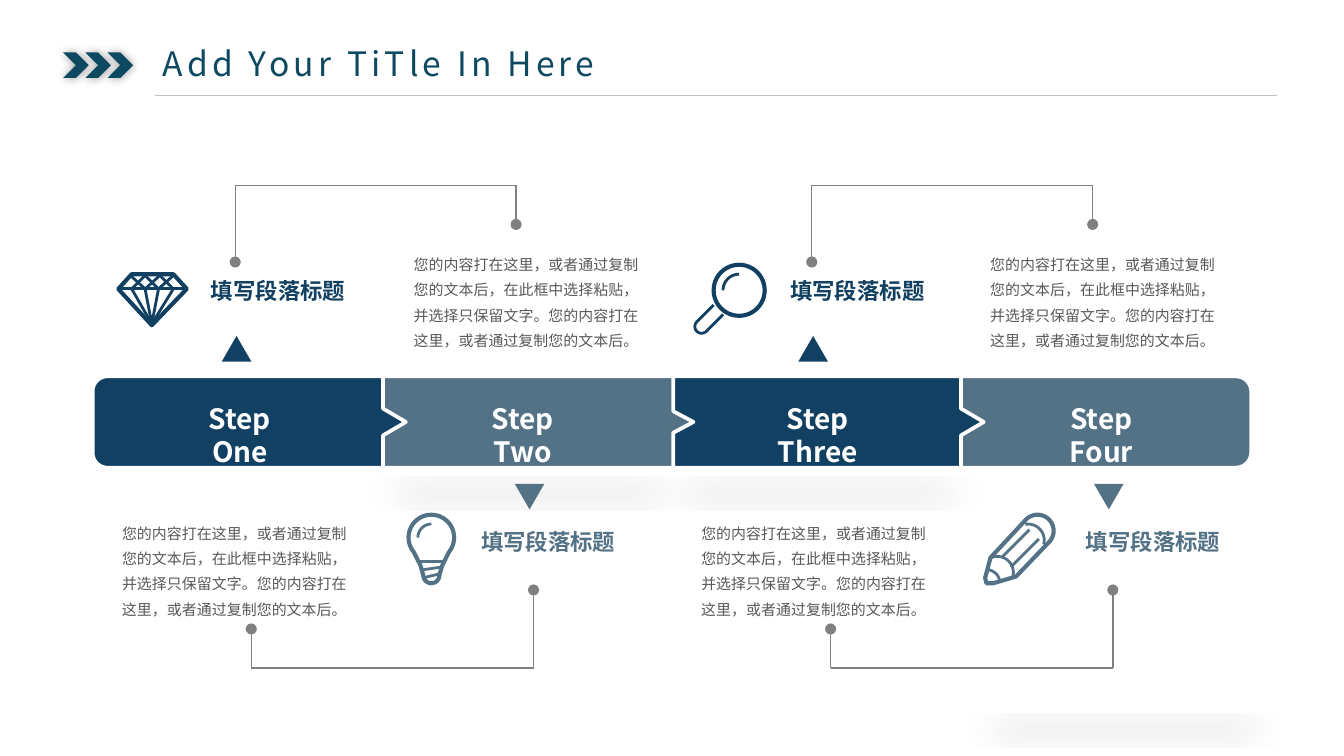
from math import cos, radians, sin

from lxml.etree import SubElement
from pptx import Presentation
from pptx.dml.color import RGBColor
from pptx.enum.shapes import MSO_CONNECTOR, MSO_SHAPE
from pptx.enum.text import MSO_ANCHOR, PP_ALIGN
from pptx.oxml.ns import qn
from pptx.util import Inches, Pt

NAVY = RGBColor(0x12, 0x40, 0x62)
SLATE = RGBColor(0x53, 0x72, 0x85)
TEAL = RGBColor(0x0D, 0x49, 0x60)
GREY = RGBColor(0x80, 0x80, 0x80)
RULE = RGBColor(0xBF, 0xBF, 0xBF)
INK = RGBColor(0x59, 0x59, 0x59)
WHITE = RGBColor(0xFF, 0xFF, 0xFF)
SANS = "Noto Sans CJK SC"
HEAD = "填写段落标题"
BODY = "您的内容打在这里，或者通过复制您的文本后，在此框中选择粘贴，并选择只保留文字。您的内容打在这里，或者通过复制您的文本后。"

BLUR = dict(blurRad="63500", dist="0", algn="ctr")
BELOW = dict(blurRad="254000", dist="114300", dir="5400000",
             sx="90000", sy="-19000", rotWithShape="0")


def write(shape, text, font, face=SANS, inset=(0.07, 0.04), wrap=True, **para):
    frame = shape.text_frame
    frame.word_wrap = wrap
    frame.vertical_anchor = MSO_ANCHOR.TOP
    for side, gap in zip(("left", "top", "right", "bottom"), inset * 2):
        setattr(frame, f"margin_{side}", Inches(gap))
    line = frame.paragraphs[0]
    for key, val in para.items():
        setattr(line, key, val)
    run = line.add_run()
    run.text = text
    color = font["color"]
    for key, val in font.items():
        if key != "color":
            setattr(run.font, key, val)
    run.font.name = face
    run.font.color.rgb = color
    SubElement(run.font._element, qn("a:ea"), typeface=face)
    return run


def label(slide, x, y, w, h, text, font, **form):
    box = slide.shapes.add_textbox(*map(Inches, (x, y, w, h)))
    write(box, text, font, **form)


def shade(shape, alpha, form):
    shape.shadow.inherit = False
    effects = shape._element.spPr.find(qn("a:effectLst"))
    outer = SubElement(effects, qn("a:outerShdw"), **form)
    black = SubElement(outer, qn("a:srgbClr"), val="000000")
    SubElement(black, qn("a:alpha"), val=str(alpha * 1000))


def paint(shape, fill=None, line=None, width=2):
    shape.shadow.inherit = False
    for part, color in ((shape.fill, fill), (shape.line.fill, line)):
        if color is None:
            part.background()
        else:
            part.solid()
            part.fore_color.rgb = color
    if line is not None:
        shape.line.width = Pt(width)
    return shape


def solid(slide, kind, x, y, w, h, fill, turn=0, line=None):
    shape = slide.shapes.add_shape(kind, *map(Inches, (x, y, w, h)))
    shape.rotation = turn
    return paint(shape, fill, line)


def trace(slide, x, y, points, close=False):
    dots = [(Inches(x + a), Inches(y + b)) for a, b in points]
    path = slide.shapes.build_freeform(*dots[0])
    path.add_line_segments(dots[1:], close=close)
    return path.convert_to_shape()


def arc(x, y, r, start, end, steps=24):
    turns = [radians(start + (end - start) * i / steps) for i in range(steps + 1)]
    return [(x + r * cos(t), y + r * sin(t)) for t in turns]


def rule(slide, start, end, color, width, tips=()):
    line = slide.shapes.add_connector(
        MSO_CONNECTOR.STRAIGHT, *map(Inches, (*start, *end)))
    line.line.color.rgb = color
    line.line.width = Pt(width)
    SubElement(line._element.spPr, qn("a:effectLst"))
    for tip in tips:
        SubElement(line.line._ln, qn(f"a:{tip}End"), type="oval")


def link(slide, x, y, points):
    spots = [(x + a, y + b) for a, b in points]
    tips = (("head",), (), ("tail",))
    for start, end, tip in zip(spots, spots[1:], tips):
        rule(slide, start, end, GREY, 0.75, tip)


# Each icon is a closed outline followed by thinner inner lines.
GEM = (
    [(0.12, 0.02), (0.43, 0.02), (0.53, 0.13), (0.27, 0.4), (0.02, 0.13)],
    [(0.02, 0.13), (0.53, 0.13)],
    [(0.11, 0.03), (0.22, 0.13), (0.33, 0.03), (0.43, 0.13)],
    [(0.12, 0.13), (0.22, 0.03), (0.32, 0.13), (0.43, 0.03)],
    [(0.12, 0.13), (0.27, 0.39), (0.43, 0.13)],
    [(0.22, 0.13), (0.27, 0.39), (0.32, 0.13)],
)
LENS = (
    arc(0.35, 0.21, 0.19, 0, 360, 48),
    arc(0.35, 0.21, 0.12, 180, 270),
    [(0.16, 0.32), *arc(0.07, 0.48, 0.05, 225, 45), (0.23, 0.39)],
)
BULB = (
    arc(0.19, 0.19, 0.17, 140, 400) + [(0.27, 0.4)]
    + arc(0.19, 0.47, 0.06, 0, 180) + [(0.11, 0.4)],
    arc(0.19, 0.19, 0.1, 180, 270),
    [(0.1, 0.37), (0.28, 0.37)],
    [(0.12, 0.43), (0.26, 0.41)],
    [(0.13, 0.49), (0.25, 0.46)],
)
PENCIL = (
    [(0.02, 0.49), (0.06, 0.34)] + arc(0.41, 0.14, 0.12, 225, 405)
    + [(0.25, 0.48), (0.08, 0.53), (0.03, 0.53)],
    arc(0.11, 0.45, 0.12, -110, 20),
    arc(0.03, 0.53, 0.1, -80, -5),
    arc(0.34, 0.21, 0.12, -100, 15),
    [(0.14, 0.34), (0.35, 0.13)],
    [(0.21, 0.41), (0.42, 0.2)],
)


def icon(slide, x, y, art, color):
    for i, points in enumerate(art):
        shape = trace(slide, x, y, points, close=i == 0)
        paint(shape, line=color, width=1.5 if i else 2.2)


UPPER = dict(color=NAVY, turn=0, tip=(0.79, 1.12), body=(2.11, 0.43),
             link=[(0.89, 0.57), (0.89, 0), (2.98, 0), (2.98, 0.29)])
LOWER = dict(color=SLATE, turn=180, tip=(3.03, 0), body=(0, 0.21),
             link=[(3.17, 0.79), (3.17, 1.37), (1.07, 1.37), (1.07, 1.08)])


def pane(slide, x, y, form, art, spot, head):
    """Heading with icon, body text, pointer and the bent line between them."""
    def at(pair):
        return x + pair[0], y + pair[1]

    color = form["color"]
    solid(slide, MSO_SHAPE.ISOSCELES_TRIANGLE, *at(form["tip"]), 0.22, 0.19,
          color, form["turn"])
    icon(slide, *at(spot), art, color)
    label(slide, *at(head), 1.16, 0.28, HEAD,
          dict(size=Pt(12), bold=True, color=color), wrap=False)
    label(slide, *at(form["body"]), 1.89, 0.86, BODY,
          dict(size=Pt(8), color=INK),
          alignment=PP_ALIGN.CENTER, line_spacing=Pt(13.5))
    link(slide, x, y, form["link"])


def header(slide, x, y):
    for i in range(3):
        mark = solid(slide, MSO_SHAPE.CHEVRON, x + i * 0.165, y + 0.1,
                     0.19, 0.19, TEAL)
        shade(mark, 40, BLUR)
    title = slide.shapes.title
    spot = (x + 0.68, y, 4.35, 0.36)
    for key, val in zip(("left", "top", "width", "height"), spot):
        setattr(title, key, Inches(val))
    run = write(title, "Add Your TiTle In Here", dict(size=Pt(18), color=TEAL),
                "Noto Sans CJK JP", (0.06, 0.03), alignment=PP_ALIGN.LEFT)
    run.font._element.set("spc", "225")
    rule(slide, (x + 0.68, y + 0.42), (x + 9.03, y + 0.42), RULE, 0.5)


def strip(slide, x, y, h=0.68):
    """Four interlocking steps, laid from right to left."""
    mid, r = h / 2, 0.11
    last = solid(slide, MSO_SHAPE.ROUND_2_SAME_RECTANGLE, x + 7.2, y - 0.74,
                 h, 2.16, SLATE, 90, WHITE)
    shade(last, 10, BELOW)
    square = [(0, h), (0, 0)]
    curved = arc(r, h - r, r, 90, 180) + arc(r, r, r, 180, 270)
    for left, side, tip, notch, edge, fill in (
            (4.3, 2.16, 2.33, 0.1, square, NAVY),
            (2.16, 2.16, 2.31, 0.08, square, SLATE),
            (0, 2.16, 2.33, 0.1, curved, NAVY)):
        nose = [(side, 0), (side, mid - notch), (tip, mid),
                (side, mid + notch), (side, h)]
        band = trace(slide, x + left, y, edge + nose, close=True)
        paint(band, fill, WHITE)
        if edge is square:
            shade(band, 10, BELOW)
    for left, w, name in ((0.62, 0.95, "One"), (2.72, 0.96, "Two"),
                          (4.85, 1.09, "Three"), (7.01, 0.99, "Four")):
        label(slide, x + left, y + 0.15, w, 0.33, f"Step {name}",
              dict(size=Pt(15), bold=True, color=WHITE),
              alignment=PP_ALIGN.CENTER, line_spacing=Pt(17.7))


def main():
    deck = Presentation()
    deck.slide_width = Inches(10)
    deck.slide_height = deck.slide_width * 9 // 16
    slide = deck.slides.add_slide(deck.slide_layouts[5])
    header(slide, 0.47, 0.29)
    strip(slide, 0.69, 2.8)
    pane(slide, 0.86, 1.38, UPPER, GEM, (0, 0.64), (0.64, 0.64))
    pane(slide, 5.15, 1.38, UPPER, LENS, (0, 0.57), (0.66, 0.64))
    pane(slide, 0.8, 3.6, LOWER, BULB, (2.22, 0.21), (2.71, 0.29))
    pane(slide, 5.11, 3.6, LOWER, PENCIL, (2.2, 0.21), (2.9, 0.29))
    deck.save("out.pptx")


if __name__ == "__main__":
    main()
